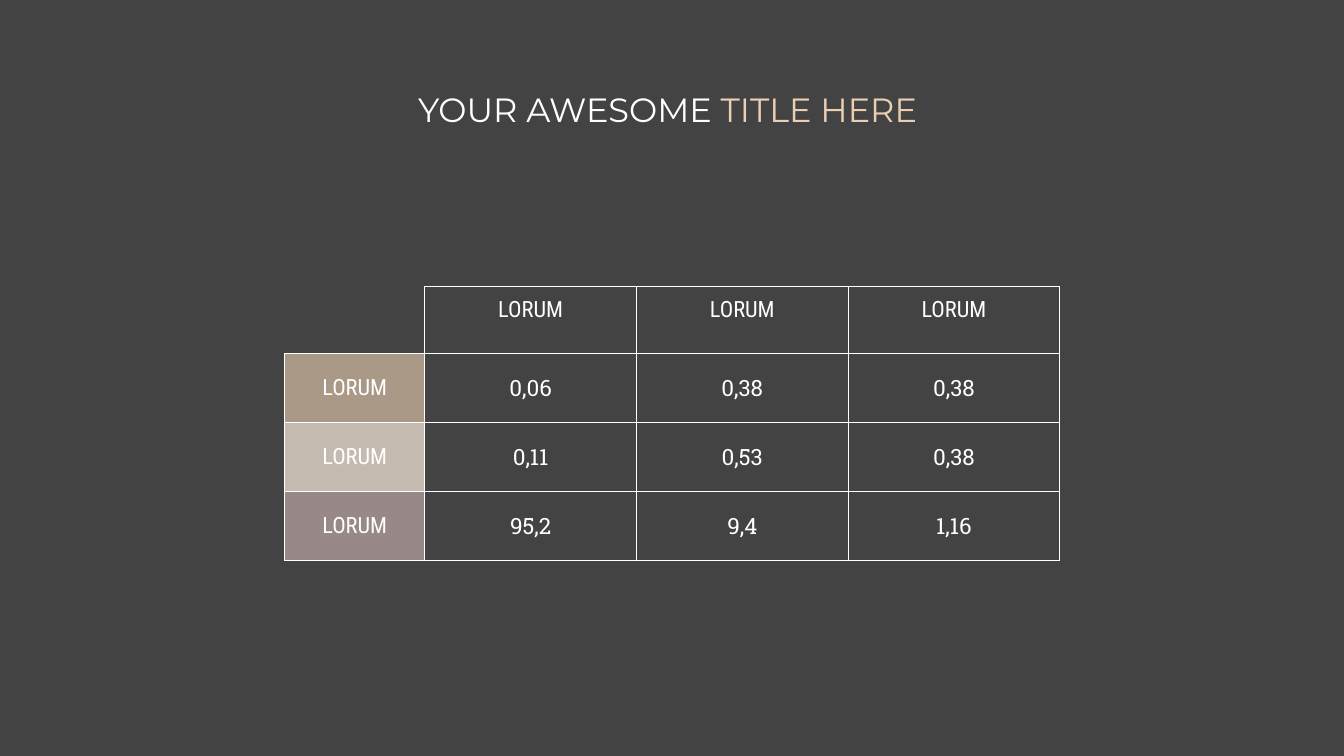
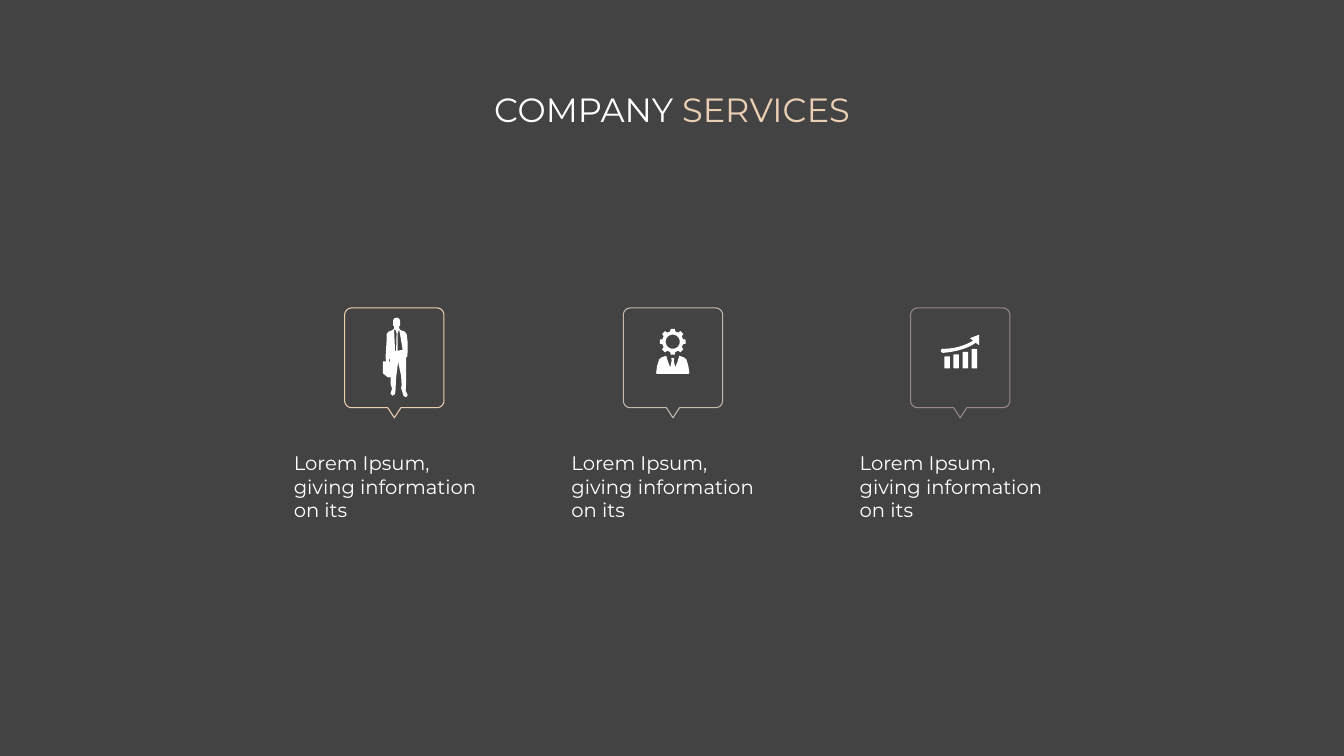
from math import cos, radians, sin
from typing import NamedTuple

from lxml.etree import SubElement
from pptx import Presentation
from pptx.dml.color import RGBColor
from pptx.enum.shapes import MSO_SHAPE
from pptx.enum.text import MSO_ANCHOR, PP_ALIGN
from pptx.oxml.ns import qn
from pptx.util import Inches, Pt

COLORS = {
    "background": "434343",
    "white": "FFFFFF",
    "sand": "EBCFB2",
    "stone": "C5BAAF",
    "mauve": "998888",
}
TITLE_FONT = "Montserrat"
LABEL_FONT = "Roboto Condensed"
NUMBER_FONT = "Roboto Slab"
LINE_WIDTH = Pt(1.5)

COLUMN_WIDTHS = [2.78] + 3 * [4.2]
ROW_HEIGHTS = [1.33] + 3 * [1.37]
TABLE_ROWS = [
    ["", "LORUM", "LORUM", "LORUM"],
    ["LORUM", "0,06", "0,38", "0,38"],
    ["LORUM", "0,11", "0,53", "0,38"],
    ["LORUM", "95,2", "9,4", "1,16"],
]
ROW_LABEL_FILLS = [("sand", 62), ("stone", 100), ("mauve", 100)]

SERVICE_TEXT = "Lorem Ipsum, giving information on its"


class Service(NamedTuple):
    callout_left: float
    text_left: float
    color: str


SERVICES = [
    Service(6.84, 5.56, "sand"),
    Service(12.37, 11.07, "stone"),
    Service(18.07, 16.79, "mauve"),
]


def color_of(name):
    return RGBColor.from_string(COLORS[name])


def write_text(frame, runs, font=TITLE_FONT, size=28, align=PP_ALIGN.LEFT, line_spacing=None):
    frame.word_wrap = True
    paragraph = frame.paragraphs[0]
    paragraph.alignment = align
    paragraph.line_spacing = line_spacing
    for text, color in runs:
        run = paragraph.add_run()
        run.text = text
        run.font.name = font
        run.font.size = Pt(size)
        run.font.color.rgb = color_of(color)


def add_text(slide, box, runs, anchor=MSO_ANCHOR.TOP, **text_format):
    frame = slide.shapes.add_textbox(*map(Inches, box)).text_frame
    frame.margin_left = frame.margin_right = Inches(0.27)
    frame.margin_top = frame.margin_bottom = Inches(0.27)
    frame.vertical_anchor = anchor
    write_text(frame, runs, **text_format)


def add_titled_slide(presentation, lead, accent):
    slide = presentation.slides.add_slide(presentation.slide_layouts[6])
    slide.background.fill.solid()
    slide.background.fill.fore_color.rgb = color_of("background")
    add_text(slide, (5.73, 0.83, 15.21, 2.76), [(lead, "white"), (accent, "sand")],
             anchor=MSO_ANCHOR.MIDDLE, size=48, align=PP_ALIGN.CENTER, line_spacing=0.9)
    return slide


def paint(shape, fill=None, line=None):
    shape.shadow.inherit = False
    if fill:
        shape.fill.solid()
        shape.fill.fore_color.rgb = color_of(fill)
    else:
        shape.fill.background()
    if line:
        shape.line.color.rgb = color_of(line)
        shape.line.width = LINE_WIDTH
    else:
        shape.line.fill.background()


def add_outline(shapes, contours, **colors):
    builder = None
    for contour in contours:
        start, *others = [(Inches(x), Inches(y)) for x, y in contour]
        if builder is None:
            builder = shapes.build_freeform(*start)
        else:
            builder.move_to(*start)
        builder.add_line_segments(others, close=True)
    paint(builder.convert_to_shape(), **colors)


def polar(center, radius, degrees):
    angle = radians(degrees)
    return center[0] + radius * cos(angle), center[1] + radius * sin(angle)


def arc(center, radius, start, end, steps=8):
    sweep = end - start
    return [polar(center, radius, start + sweep * step / steps) for step in range(steps + 1)]


def curve(start, control, end, steps=12):
    points = []
    for step in range(steps + 1):
        t = step / steps
        weights = ((1 - t) ** 3 + 3 * t * (1 - t) ** 2, 3 * t * t * (1 - t), t ** 3)
        points.append(tuple(sum(weight * point[axis]
                                for weight, point in zip(weights, (start, control, end)))
                            for axis in (0, 1)))
    return points


def mirrored(axis_x, right_half):
    right_side = [(axis_x + offset, y) for offset, y in right_half]
    left_side = [(axis_x - offset, y) for offset, y in reversed(right_half)]
    return right_side + left_side


def add_callout(slide, left, color):
    top, width, height, radius = 6.11, 1.97, 1.98, 0.14
    bottom, middle = top + height, left + width / 2
    near_x, far_x = left + radius, left + width - radius
    near_y, far_y = top + radius, bottom - radius
    corners = [(far_x, far_y), (far_x, near_y), (near_x, near_y), (near_x, far_y)]
    points = [(middle - 0.13, bottom), (middle, bottom + 0.2), (middle + 0.13, bottom)]
    for quarter, corner in enumerate(corners):
        start = 90 - 90 * quarter
        points += arc(corner, radius, start, start - 90)
    add_outline(slide.shapes, [points], line=color)


def add_businessman_icon(slide):
    axis_x = 7.87
    half_head = [(0, 6.3), (0.05, 6.32), (0.07, 6.36), (0.07, 6.46), (0.05, 6.47), (0.05, 6.52)]
    half_shoulders = [(0.08, 6.55), (0.16, 6.58), (0.2, 6.63)]
    upper_body = mirrored(axis_x, half_head + half_shoulders)
    middle = len(upper_body) // 2
    head_to_right_shoulder, left_shoulder_to_head = upper_body[:middle], upper_body[middle:]
    right_arm = [(8.09, 6.8), (8.09, 6.97), (8.08, 7.08), (8.06, 7.09)]
    right_leg = [(8.06, 7.59), (8.05, 7.75)]
    right_shoe = [(8.09, 7.84), (8.06, 7.88), (8.01, 7.86), (7.96, 7.7)]
    trouser_gap = [(7.97, 7.64), (7.96, 7.46), (7.9, 7.18), (7.86, 7.5)]
    left_shoe = [(7.85, 7.72), (7.84, 7.82), (7.79, 7.85), (7.75, 7.81), (7.78, 7.71)]
    left_leg = [(7.75, 7.62), (7.75, 7.48)]
    briefcase = [(7.7, 7.49), (7.6, 7.41), (7.6, 7.17), (7.66, 7.17)]
    left_arm = [(7.65, 7.1), (7.67, 6.79)]
    body = (head_to_right_shoulder + right_arm + right_leg + right_shoe + trouser_gap
            + left_shoe + left_leg + briefcase + left_arm + left_shoulder_to_head)
    left_shirt = [(7.82, 6.55), (7.84, 6.53), (7.87, 6.61), (7.86, 6.96), (7.84, 6.96)]
    right_shirt = [(7.89, 6.61), (7.92, 6.54), (7.94, 6.64), (7.99, 6.94), (7.89, 6.96)]
    handle_gap = [(7.72, 7.11), (7.74, 7.13), (7.74, 7.18), (7.72, 7.17)]
    add_outline(slide.shapes, [body, left_shirt, right_shirt, handle_gap], fill="white")


def add_manager_icon(slide):
    center = (13.35, 6.78)
    tooth_profile = [(-14, 0.21), (-9, 0.26), (9, 0.26), (14, 0.21)]
    gear = [polar(center, radius, tooth + offset)
            for tooth in range(0, 360, 45) for offset, radius in tooth_profile]
    hole = arc(center, 0.14, 360, 0, steps=32)
    half_tie = [(0, 7.1), (0.03, 7.11), (0.02, 7.15), (0.05, 7.29)]
    half_jacket = [(0.09, 7.19), (0.13, 7.06), (0.22, 7.09), (0.27, 7.13),
                   (0.31, 7.26), (0.33, 7.4), (0.31, 7.42)]
    suit = mirrored(center[0], half_tie + half_jacket)
    add_outline(slide.shapes, [suit, gear, hole], fill="white")


def add_growth_icon(slide):
    shapes = slide.shapes.add_group_shape().shapes
    first_left, pitch, width, bottom = 18.74, 0.18, 0.11, 7.31
    for index, height in enumerate([0.24, 0.28, 0.33, 0.39]):
        box = (first_left + pitch * index, bottom - height, width, height)
        bar = shapes.add_shape(MSO_SHAPE.ROUNDED_RECTANGLE, *map(Inches, box))
        bar.adjustments[0] = 0.14
        paint(bar, fill="white")
    upper_edge = curve((18.71, 6.92), (19.01, 6.94), (19.31, 6.76))
    arrowhead = [(19.25, 6.71), (19.43, 6.64), (19.43, 6.85)]
    lower_edge = curve((19.36, 6.8), (19.18, 6.96), (18.73, 7))
    rounded_tail = arc((18.71, 6.96), 0.04, 90, 270)
    add_outline(shapes, [upper_edge + arrowhead + lower_edge + rounded_tail], fill="white")


def set_borders(cell, visible_sides):
    properties = cell._tc.get_or_add_tcPr()
    for side in "LRTB":
        line = SubElement(properties, qn(f"a:ln{side}"), w=str(LINE_WIDTH))
        if side in visible_sides:
            fill = SubElement(line, qn("a:solidFill"))
            SubElement(fill, qn("a:srgbClr"), val=COLORS["white"])
        else:
            SubElement(line, qn("a:noFill"))


def fill_cell(cell, color, opacity):
    cell.fill.solid()
    cell.fill.fore_color.rgb = color_of(color)
    if opacity < 100:
        fill_color = cell._tc.tcPr.find(qn("a:solidFill"))[0]
        SubElement(fill_color, qn("a:alpha"), val=str(opacity * 1000))


def format_cell(cell, text, is_header, is_label):
    cell.margin_left = cell.margin_right = Inches(0.27)
    cell.margin_top = cell.margin_bottom = Inches(0.2)
    cell.vertical_anchor = MSO_ANCHOR.TOP if is_header else MSO_ANCHOR.MIDDLE
    font = LABEL_FONT if is_header or is_label else NUMBER_FONT
    write_text(cell.text_frame, [(text, "white")], font=font, size=32, align=PP_ALIGN.CENTER)


def add_value_table(slide):
    box = (5.65, 5.68, sum(COLUMN_WIDTHS), sum(ROW_HEIGHTS))
    table = slide.shapes.add_table(len(TABLE_ROWS), len(COLUMN_WIDTHS), *map(Inches, box)).table
    table.first_row = table.horz_banding = False
    for column, width in zip(table.columns, COLUMN_WIDTHS):
        column.width = Inches(width)
    for row, height in zip(table.rows, ROW_HEIGHTS):
        row.height = Inches(height)
    for row_index, row in enumerate(TABLE_ROWS):
        for column_index, text in enumerate(row):
            cell = table.cell(row_index, column_index)
            is_header, is_label = row_index == 0, column_index == 0
            set_borders(cell, "LRTB" if text else "RB")
            if is_label and not is_header:
                fill_cell(cell, *ROW_LABEL_FILLS[row_index - 1])
            else:
                cell.fill.background()
            if text:
                format_cell(cell, text, is_header, is_label)


def add_services(slide):
    for service in SERVICES:
        add_callout(slide, service.callout_left, service.color)
        add_text(slide, (service.text_left, 8.68, 4.53, 1.57), [(SERVICE_TEXT, "white")])
    add_businessman_icon(slide)
    add_manager_icon(slide)
    add_growth_icon(slide)


def main():
    presentation = Presentation()
    presentation.slide_width = Inches(26.67)
    presentation.slide_height = Inches(15)
    add_value_table(add_titled_slide(presentation, "YOUR AWESOME ", "TITLE HERE "))
    add_services(add_titled_slide(presentation, "COMPANY ", "SERVICES"))
    presentation.save("out.pptx")


if __name__ == "__main__":
    main()
